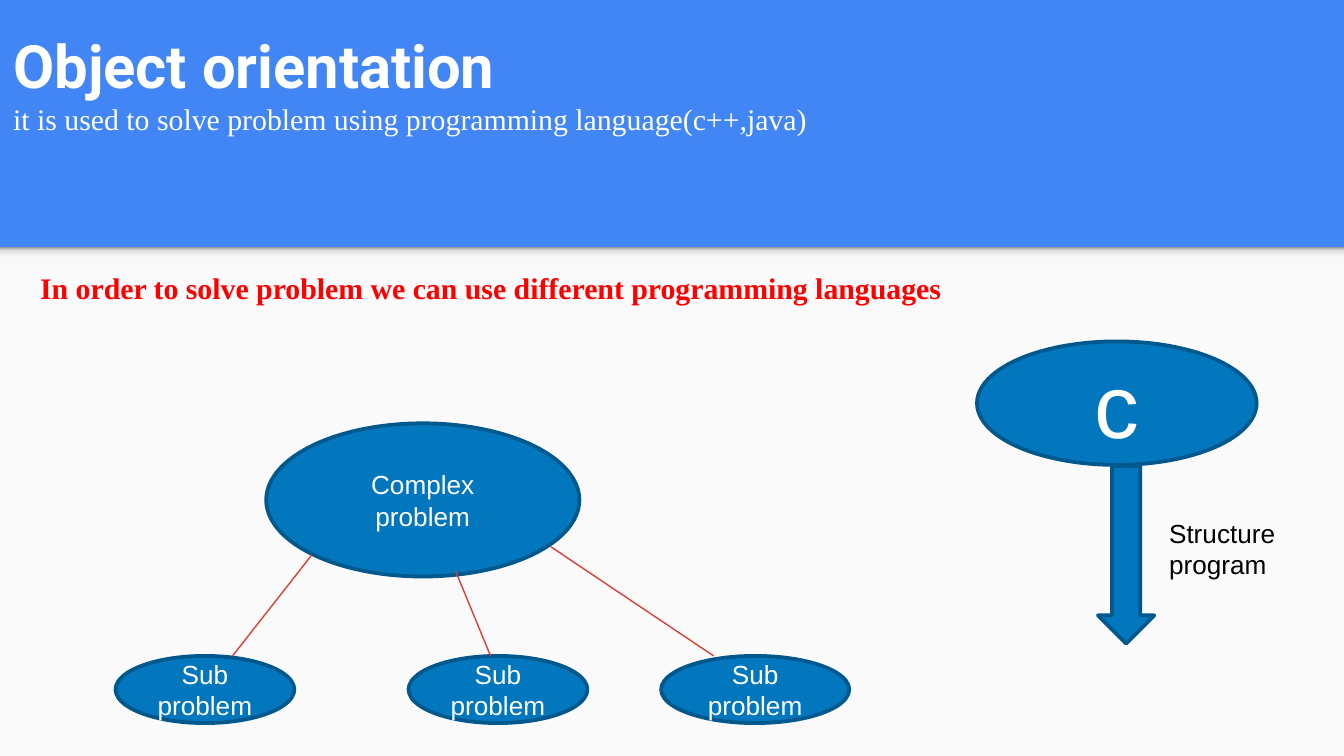
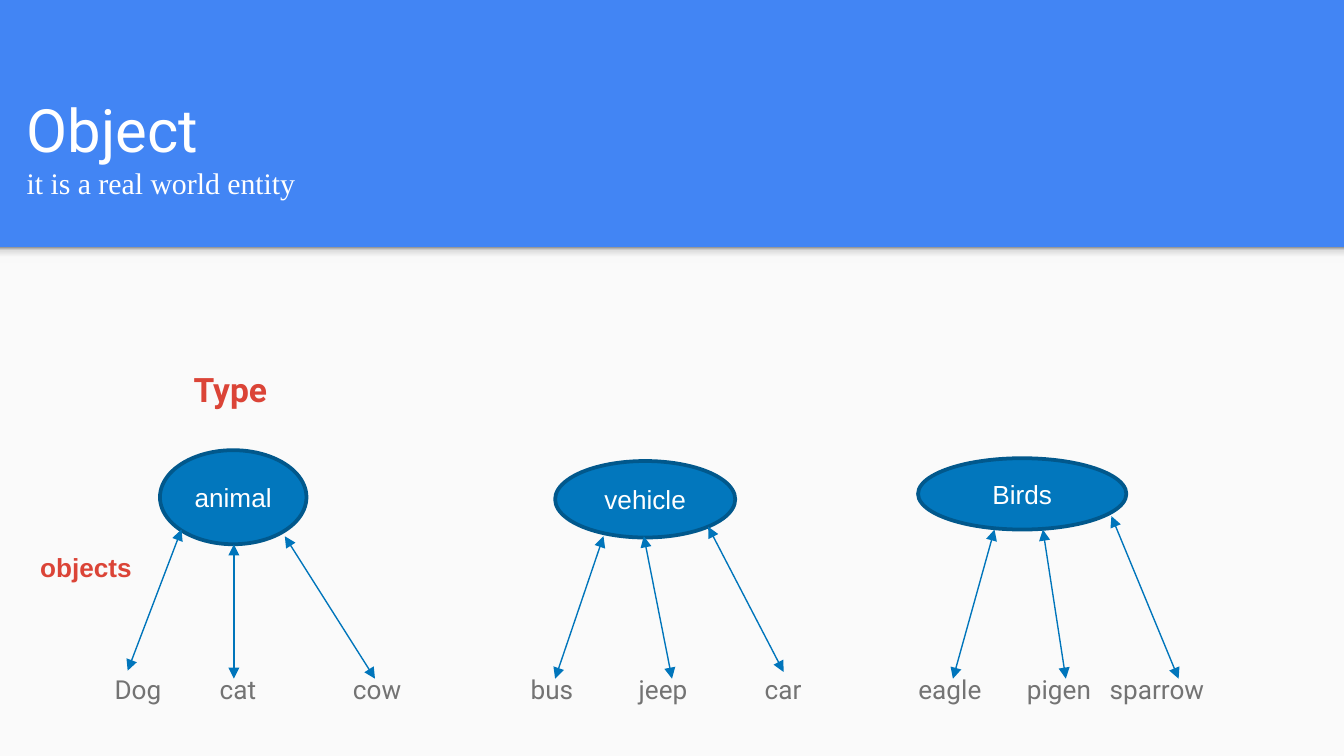
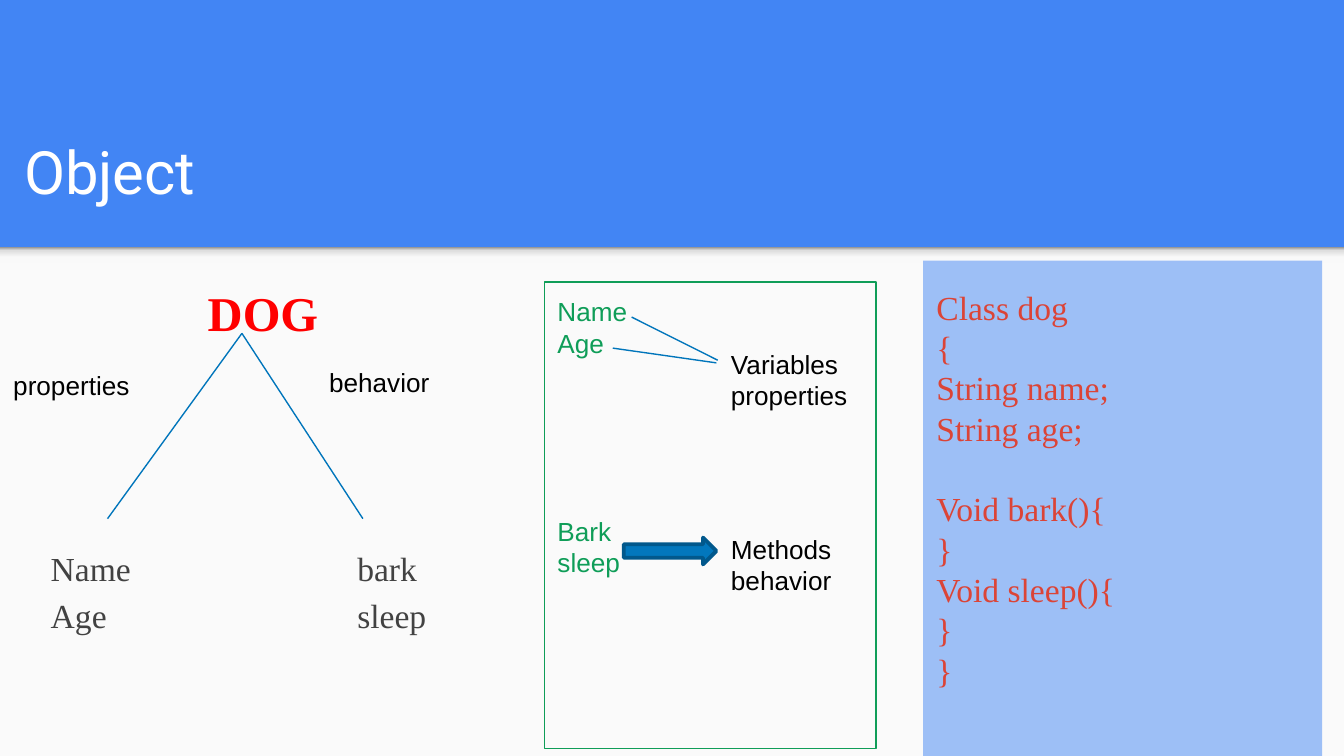
import copy
from dataclasses import dataclass

import pptx
import pptx.dml.color
import pptx.enum.shapes
import pptx.enum.text
import pptx.oxml.ns
import pptx.util
from lxml import etree

Pt = pptx.util.Pt
qn = pptx.oxml.ns.qn
SHAPE = pptx.enum.shapes.MSO_SHAPE
ANCHOR = pptx.enum.text.MSO_ANCHOR
ALIGN = pptx.enum.text.PP_ALIGN


@dataclass(frozen=True)
class Theme:
    """Colours, fonts and type sizes of the deck."""
    band: str = "4285F4"
    paper: str = "FAFAFA"
    white: str = "FFFFFF"
    black: str = "000000"
    node: str = "0277BD"
    node_edge: str = "01588C"
    link: str = "0075BB"
    branch: str = "DA3F32"
    alert: str = "FF0000"
    accent: str = "DB4437"
    green: str = "0F9D58"
    grey: str = "737373"
    dark: str = "424242"
    shade: tuple = ((0, "F9F9F9"), (0.36, "F9F9F9"), (0.8, "DEDEDE"), (1, "999999"))
    sans: str = "Arial"
    display: str = "Roboto"
    serif: str = "Times New Roman"
    title: int = 32
    dog: int = 26
    large: int = 18
    lead: int = 16
    small: int = 14
    letter: int = 48


def rgb(color):
    """Turn a hex string into a colour."""
    return pptx.dml.color.RGBColor.from_string(color)


class Deck:
    """Holds the style and the slide being drawn."""

    def __init__(self, theme):
        """Start a presentation with the shared background."""
        self.theme = theme
        self.prs = pptx.Presentation()
        self.prs.slide_width, self.prs.slide_height = Pt(720), Pt(405)
        fill = self.prs.slide_master.background.fill
        fill.solid()
        fill.fore_color.rgb = rgb(theme.band)

    def new_slide(self):
        """Add a slide with the light page and the shade under the band."""
        self.slide = self.prs.slides.add_slide(self.prs.slide_layouts[6])
        self.shape(SHAPE.RECTANGLE, 0, 132.5, 720, 272.5, self.theme.paper)
        shade = self.shape(SHAPE.RECTANGLE, 0, 132.5, 720, 8.6)
        shade.fill.gradient()
        shade.fill.gradient_angle = 90
        stops = shade._element.spPr.find(".//" + qn("a:gsLst"))
        stops.extend([copy.deepcopy(stop) for stop in stops])
        for stop, (position, color) in zip(shade.fill.gradient_stops, self.theme.shade):
            stop.position = position
            stop.color.rgb = rgb(color)

    def shape(self, kind, x, y, w, h, fill=None, edge=None, edge_width=2):
        """Draw a preset shape without shadow."""
        shape = self.slide.shapes.add_shape(kind, Pt(x), Pt(y), Pt(w), Pt(h))
        shape.shadow.inherit = False
        if fill:
            shape.fill.solid()
            shape.fill.fore_color.rgb = rgb(fill)
        else:
            shape.fill.background()
        if edge:
            shape.line.color.rgb = rgb(edge)
            shape.line.width = Pt(edge_width)
        else:
            shape.line.fill.background()
        return shape

    def set_lines(self, shape, lines, color, size=None, font=None, bold=False,
                  align=ALIGN.LEFT, spacing=None):
        """Put lines of text in a shape, one paragraph each."""
        frame = shape.text_frame
        frame.word_wrap = True
        frame.text = lines
        for paragraph in frame.paragraphs:
            paragraph.alignment = align
            if spacing:
                paragraph.line_spacing = spacing
            for run in paragraph.runs:
                self.style(run, color, size or self.theme.small, font, bold)
        return frame

    def style(self, run, color, size, font=None, bold=False):
        """Format one run."""
        run.font.name = font or self.theme.sans
        run.font.size = Pt(size)
        run.font.bold = bold
        run.font.color.rgb = rgb(color)

    def label(self, lines, x, y, w, h, color=None, **look):
        """Place free text."""
        box = self.slide.shapes.add_textbox(Pt(x), Pt(y), Pt(w), Pt(h))
        return self.set_lines(box, lines, color or self.theme.black, **look)

    def title(self, heading, x, y, w, h, subtitle=None, bold=False, below=7.2):
        """Set the heading, and a subtitle under it, at the foot of a box."""
        theme = self.theme
        text = heading if subtitle is None else heading + "\n" + subtitle
        frame = self.label(text, x, y, w, h, theme.white, size=theme.title,
                           font=theme.display, bold=bold)
        frame.vertical_anchor = ANCHOR.BOTTOM
        frame.margin_top, frame.margin_bottom = Pt(7.2), Pt(below)
        for paragraph in frame.paragraphs[1:]:
            self.style(paragraph.runs[0], theme.white, theme.lead, theme.serif)

    def node(self, text, x, y, w, h, size=None):
        """Draw a labelled ellipse; single words stay on one line."""
        theme = self.theme
        ellipse = self.shape(SHAPE.OVAL, x, y, w, h, theme.node, theme.node_edge)
        frame = self.set_lines(ellipse, text, theme.white, size=size, align=ALIGN.CENTER)
        frame.vertical_anchor = ANCHOR.MIDDLE
        frame.word_wrap = " " in text

    def arrow(self, kind, x, y, w, h):
        """Draw a block arrow."""
        self.shape(kind, x, y, w, h, self.theme.node, self.theme.node_edge)

    def line(self, start, end, color=None, heads=False):
        """Draw a thin line, with arrowheads at both ends if asked."""
        link = self.slide.shapes.add_connector(
            pptx.enum.shapes.MSO_CONNECTOR.STRAIGHT, *map(Pt, start + end))
        link.line.color.rgb = rgb(color or self.theme.link)
        link.line.width = Pt(0.75)
        properties = link._element.spPr
        if heads:
            for tag in ("a:headEnd", "a:tailEnd"):
                etree.SubElement(properties.find(qn("a:ln")), qn(tag), type="triangle")
        etree.SubElement(properties, qn("a:effectLst"))


def orientation_slide(deck):
    """A complex problem split into parts, and the C structure program."""
    theme = deck.theme
    deck.new_slide()
    deck.title("Object orientation", 0, 0, 684.7, 118.8,
               "it is used to solve problem using programming language(c++,java)",
               bold=True, below=45.8)
    lead = deck.label("In order to solve problem we can use different programming languages",
                      14.4, 134.6, 694.8, 265, theme.alert, size=theme.lead,
                      font=theme.serif, bold=True, spacing=1.15)
    lead.margin_top = Pt(7.2)
    deck.node("Complex problem", 142.6, 226.8, 167.8, 82.1)
    for x, w in ((61.9, 95.8), (218.9, 95.8), (354.2, 100.8)):
        deck.node("Sub problem", x, 351.4, w, 36)
    for start, end in (((167, 297.4), (124.6, 351.4)),
                       ((244.1, 306), (262.8, 351.4)),
                       ((295.2, 293), (382.3, 351.4))):
        deck.line(start, end, theme.branch)
    deck.node("c", 523.4, 182.9, 149.8, 66.2, size=theme.letter)
    deck.arrow(SHAPE.DOWN_ARROW, 588.2, 249.8, 30.2, 95)
    deck.label("Structure program", 619.2, 273.6, 90, 41)


def types_slide(deck):
    """Three types, each linked to its objects."""
    theme = deck.theme
    deck.new_slide()
    deck.title("Object", 7.2, 11.5, 705.6, 103, "it is a real world entity")
    deck.label("Type", 96.7, 194, 60, 28, theme.accent, size=theme.large,
               font=theme.display, bold=True)
    deck.label("objects", 14.4, 291.6, 66.2, 24.5, theme.accent, bold=True)
    # Each object: name, centre of the name, link start at the type, link end.
    types = (
        ("animal", (85.7, 241.2, 78.5, 50.4),
         (("Dog", 73.9, (97.2, 283.7), (68.4, 359.3)),
          ("cat", 127.5, (125.3, 291.6), (125.3, 363.6)),
          ("cow", 202, (152.6, 287.3), (200.9, 363.6)))),
        ("vehicle", (297.4, 247, 96.5, 41),
         (("bus", 295.7, (323.3, 287.3), (297.4, 363.6)),
          ("jeep", 355.2, (344.9, 287.3), (360, 363.6)),
          ("car", 419.5, (379.4, 282.2), (419.8, 360)))),
        ("Birds", (491.8, 245.5, 111.6, 38.2),
         (("eagle", 508.9, (532.8, 283.7), (510.5, 363.6)),
          ("pigen", 567.3, (558.7, 283.7), (571, 363.6)),
          ("sparrow", 619.8, (595.4, 276.5), (631.4, 363.6)))),
    )
    name_width = 54
    for kind, place, members in types:
        deck.node(kind, *place)
        for name, centre, start, end in members:
            deck.line(start, end, heads=True)
            frame = deck.label(name, centre - name_width / 2, 357, name_width, 24,
                               theme.grey, font=theme.display, align=ALIGN.CENTER)
            frame.margin_left = frame.margin_right = 0


def dog_slide(deck):
    """One object: its properties, its behavior and its class."""
    theme = deck.theme
    deck.new_slide()
    deck.title("Object", 5.8, 10.1, 700.6, 108)
    deck.label("DOG", 104.2, 143.3, 85, 42, theme.alert, size=theme.dog,
               font=theme.serif, bold=True, spacing=1.15)
    for lines, x in (("Name\nAge", 20.1), ("bark\nsleep", 184.3)):
        deck.label(lines, x, 287, 90, 57, theme.dark, size=theme.large,
                   font=theme.serif, spacing=1.15)
    for foot in (57.6, 194.4):
        deck.line((129.6, 178.6), (foot, 277.9))
    deck.label("properties", 0, 194.4, 79.9, 24.5)
    deck.label("behavior", 169.2, 193, 97.9, 24.5)

    code = deck.shape(SHAPE.RECTANGLE, 494.6, 139.7, 213.8, 265.3, theme.band)
    etree.SubElement(code._element.spPr.find(".//" + qn("a:srgbClr")),
                     qn("a:alpha"), val="50000")
    frame = deck.set_lines(code, "Class dog\n{\nString name;\nString age;\nVoid bark(){\n}\n"
                           "Void sleep(){\n}\n}", theme.accent, size=theme.large,
                           font=theme.serif)
    frame.vertical_anchor = ANCHOR.MIDDLE
    frame.margin_bottom = Pt(25.2)
    frame.paragraphs[4].space_before = Pt(21.6)

    members = deck.shape(SHAPE.RECTANGLE, 291.6, 151.2, 177.8, 249.8,
                         edge=theme.green, edge_width=0.75)
    frame = deck.set_lines(members, "Name\nAge\nBark\nsleep", theme.green)
    frame.vertical_anchor = ANCHOR.TOP
    frame.margin_top = Pt(7.2)
    frame.paragraphs[2].space_before = Pt(84)
    deck.line((338.4, 169.9), (384.5, 193))
    deck.line((328.3, 186.5), (383.8, 194.4))
    deck.arrow(SHAPE.RIGHT_ARROW, 334.1, 288, 49.7, 14.4)
    for lines, y in (("Variables\nproperties", 182.9), ("Methods\nbehavior", 282.2)):
        deck.label(lines, 384.5, y, 77.8, 41)


def main():
    """Build and save the deck."""
    deck = Deck(Theme())
    orientation_slide(deck)
    types_slide(deck)
    dog_slide(deck)
    deck.prs.save("out.pptx")


main()
